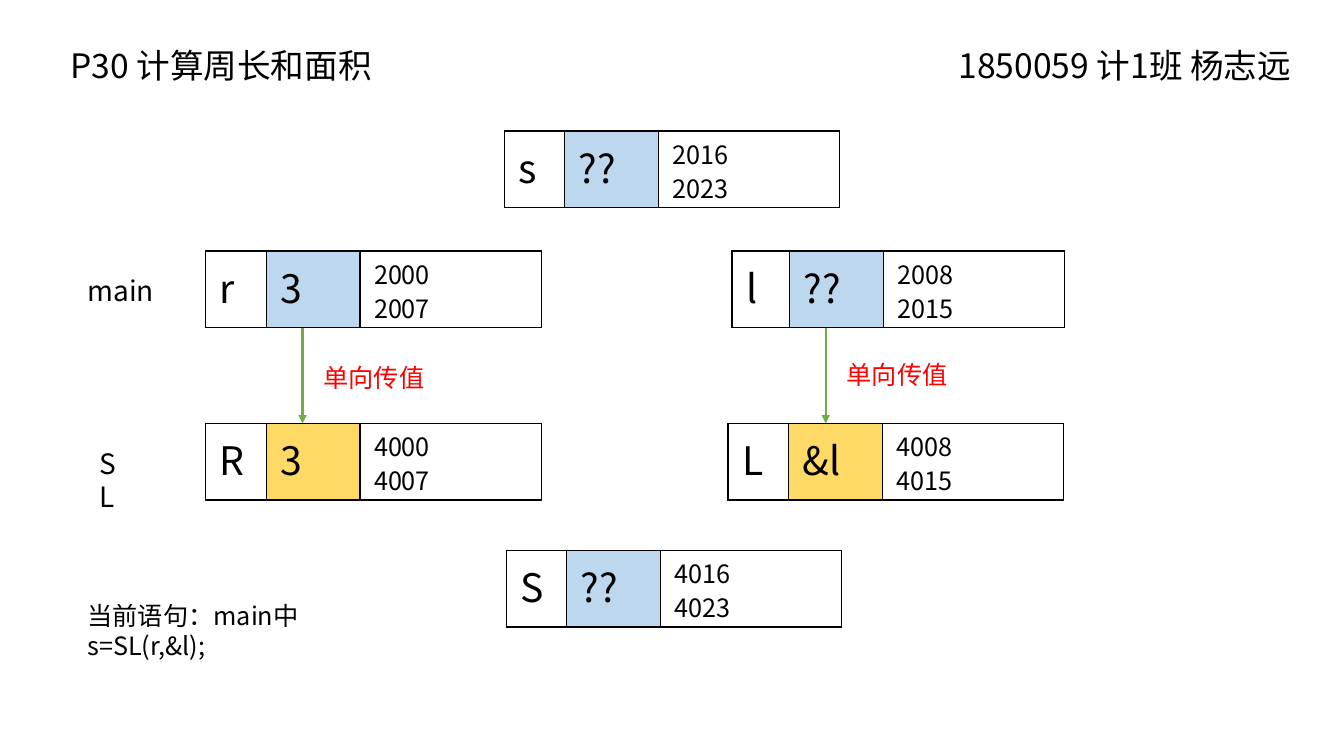
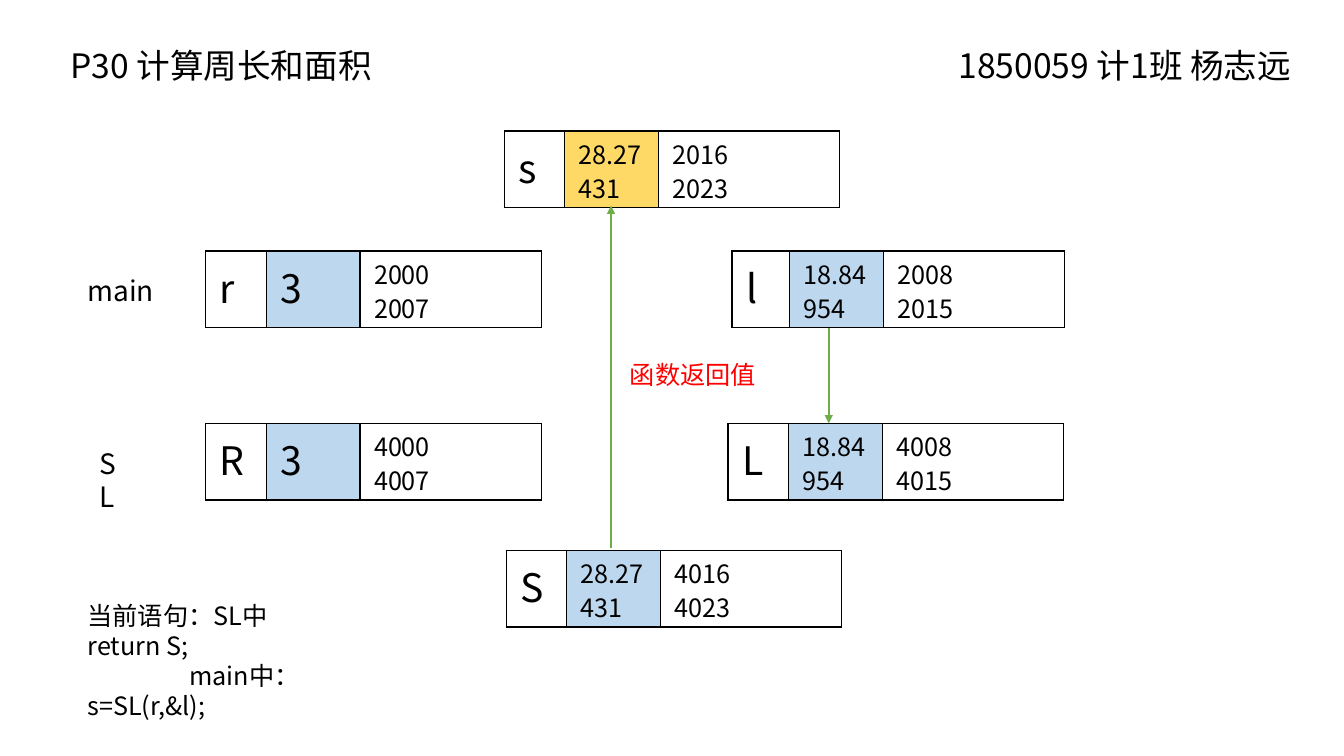
"""Build two slides that trace variables in memory during a function call."""
from lxml import etree
from pptx import Presentation
from pptx.dml.color import RGBColor
from pptx.enum.shapes import MSO_CONNECTOR
from pptx.oxml import parse_xml
from pptx.oxml.ns import nsdecls, qn
from pptx.util import Inches, Pt

STRAIGHT = MSO_CONNECTOR.STRAIGHT
FONT = "Noto Sans CJK SC"
COLORS = {"text": "000000", "note": "FF0000", "arrow": "70AD47",
          "value": "BDD7EE", "changed": "FFD966"}
ROW_H, VALUE_W, ADDRESS_W = 0.76, 0.93, 1.8


def write(tf, lines, size, color="text", spacing=None):
    """Fill a text frame with one paragraph per line."""
    for i, line in enumerate(lines):
        p = tf.paragraphs[0] if i == 0 else tf.add_paragraph()
        if spacing:
            p.line_spacing = Pt(spacing)
        r = p.add_run()
        r.text = line
        for name, value in {"name": FONT, "size": Pt(size)}.items():
            setattr(r.font, name, value)
        r.font.color.rgb = RGBColor.from_string(COLORS[color])
        etree.SubElement(r._r.get_or_add_rPr(), qn("a:ea")).set("typeface", FONT)


def add_text(s, x, y, w, h, lines, size, color="text", wrap=True):
    """Add a text box and return its text frame."""
    tf = s.shapes.add_textbox(Inches(x), Inches(y), Inches(w), Inches(h)).text_frame
    tf.word_wrap = wrap
    write(tf, lines, size, color, spacing=round(size * 1.19, 1))
    return tf


variables = {
    "r": (2.04, 2.49, 0.6, 2000),
    "R": (2.04, 4.2, 0.6, 4000),
    "l": (7.26, 2.49, 0.57, 2008),
    "L": (7.22, 4.2, 0.6, 4008),
    "s": (5, 1.3, 0.6, 2016),
    "S": (5.02, 5.46, 0.6, 4016),
}
slides = [
    {
        "values": {"r": "3", "R": "3", "l": "??", "L": "&l", "s": "??", "S": "??"},
        "changed": "RL",
        "arrows": [(3, 3.25, 4.2), (8.19, 3.25, 4.2)],
        "notes": [(8.3, 3.52, 1.21, "单向传值"), (3.11, 3.55, 1.21, "单向传值")],
        "statement": ["当前语句：main中", "s=SL(r,&l);"],
        "statement_h": 0.71,
    },
    {
        "values": {"r": "3", "R": "3", "l": "18.84954", "L": "18.84954",
                   "s": "28.27431", "S": "28.27431"},
        "changed": "s",
        "arrows": [(8.22, 3.25, 4.2), (6.06, 5.44, 2.04)],
        "notes": [(6.15, 3.52, 1.46, "函数返回值")],
        "statement": ["当前语句：SL中", "return S;", "main中：", "s=SL(r,&l);"],
        "statement_h": 1.31,
    },
]

prs = Presentation()
prs.slide_width, prs.slide_height = Inches(13.33), Inches(7.5)

for content in slides:
    s = prs.slides.add_slide(prs.slide_layouts[6])
    add_text(s, 0.6, 0.4, 4.42, 0.5, ["P30 计算周长和面积"], 24)
    add_text(s, 9.41, 0.4, 3.5, 0.5, ["1850059 计1班 杨志远"], 24)
    add_text(s, 0.77, 2.67, 1.14, 0.44, ["main"], 20)
    add_text(s, 0.89, 4.38, 0.48, 0.44, ["SL"], 20)

    for name, (x, y, name_w, address) in variables.items():
        widths = [name_w, VALUE_W, ADDRESS_W]
        table = s.shapes.add_table(1, 3, Inches(x), Inches(y),
                                   Inches(sum(widths)), Inches(ROW_H)).table
        table.first_row = table.horz_banding = False
        value = content["values"][name]
        cells = [[name], [value], [str(address), str(address + 7)]]
        for i, lines in enumerate(cells):
            table.columns[i].width = Inches(widths[i])
            cell = table.cell(0, i)
            margins = {"margin_left": 0.14, "margin_right": 0.14,
                       "margin_top": 0.07, "margin_bottom": 0}
            for side, margin in margins.items():
                setattr(cell, side, Inches(margin))
            small = i == 2 or len(lines[0]) > 2
            write(cell.text_frame, lines, 18 if small else 28, spacing=24 if small else None)
            tcPr = cell._tc.get_or_add_tcPr()
            for edge in "LRTB":
                tcPr.append(parse_xml(
                    f'<a:ln{edge} {nsdecls("a")} w="12700"><a:solidFill>'
                    f'<a:srgbClr val="{COLORS["text"]}"/></a:solidFill></a:ln{edge}>'))
            if i == 1:
                cell.fill.solid()
                state = "changed" if name in content["changed"] else "value"
                cell.fill.fore_color.rgb = RGBColor.from_string(COLORS[state])
            else:
                cell.fill.background()

    tf = add_text(s, 0.77, 5.91, 3.4, content["statement_h"], content["statement"], 18)
    for p in tf.paragraphs:
        if p.text == "main中：":
            p._p.get_or_add_pPr().set("marL", str(Inches(1.01)))

    for x, start, end in content["arrows"]:
        arrow = s.shapes.add_connector(STRAIGHT, Inches(x), Inches(start), Inches(x), Inches(end))
        arrow.line.color.rgb = RGBColor.from_string(COLORS["arrow"])
        arrow.line.width = Pt(1.5)
        etree.SubElement(arrow.line._get_or_add_ln(), qn("a:tailEnd")).set("type", "triangle")
        etree.SubElement(arrow._element.spPr, qn("a:effectLst"))

    for x, y, w, note in content["notes"]:
        add_text(s, x, y, w, 0.4, [note], 18, "note", wrap=False)

prs.save("out.pptx")
